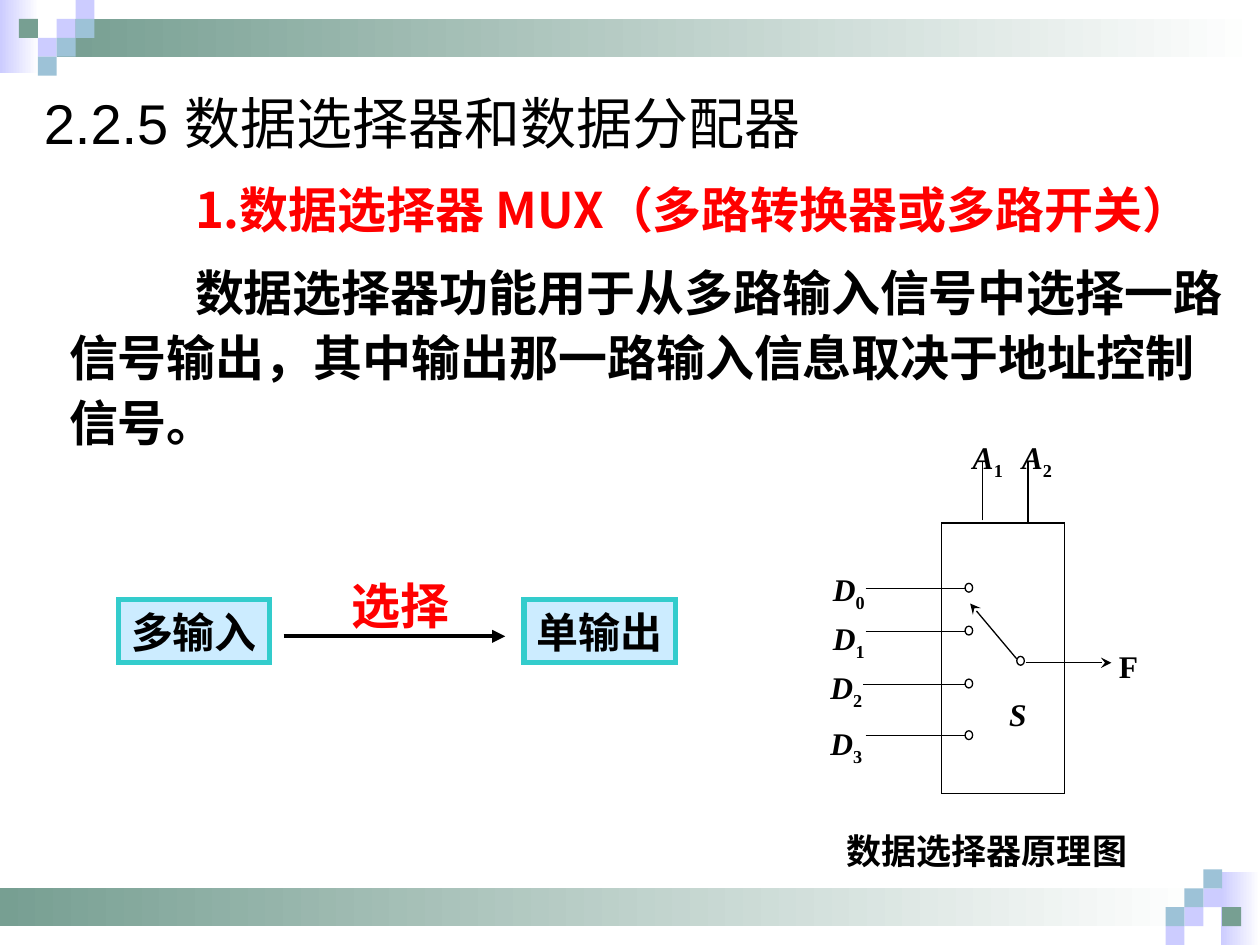
from dataclasses import dataclass

import lxml.etree
import pptx
import pptx.dml.color
import pptx.enum.shapes
import pptx.enum.text
import pptx.oxml.ns
import pptx.util

COLORS = {
    "lilac": "CCCCFF", "green": "779F92", "sky": "9DC2D7", "white": "FFFFFF",
    "black": "000000", "red": "FF0000", "pale": "CCECFF", "teal": "33CCCC",
}
CJK, LATIN, SERIF = "Noto Sans CJK SC", "Arial", "Times New Roman"
SHAPES = pptx.enum.shapes.MSO_SHAPE
ALIGN = pptx.enum.text.PP_ALIGN
ANCHOR = pptx.enum.text.MSO_ANCHOR

deck = pptx.Presentation()
deck.slide_width = pptx.util.Inches(10)
deck.slide_height = pptx.util.Inches(7.5)
slide = deck.slides.add_slide(deck.slide_layouts[6])

# The slide is a grid of 100 columns by 75 rows
COLUMNS, ROWS = 100, 75
TILE = 1.5  # side of a corner tile, in grid units


@dataclass(frozen=True)
class Box:
    col: float
    row: float
    cols: float
    rows: float

    def turned(self) -> "Box":
        """The same box after half a turn about the slide's centre."""
        return Box(COLUMNS - self.col - self.cols, ROWS - self.row - self.rows,
                   self.cols, self.rows)


@dataclass(frozen=True)
class Tile:
    col: int
    row: int
    color: str


@dataclass(frozen=True)
class Channel:
    name: str
    label_col: float
    label_row: float
    wire_col: float
    wire_row: float


def across(cols: float) -> int:
    return round(deck.slide_width * cols / COLUMNS)


def down(rows: float) -> int:
    return round(deck.slide_height * rows / ROWS)


def place(box: Box) -> tuple:
    return across(box.col), down(box.row), across(box.cols), down(box.rows)


def rgb(color: str) -> pptx.dml.color.RGBColor:
    return pptx.dml.color.RGBColor.from_string(COLORS[color])


def add_figure(box: Box, preset=SHAPES.RECTANGLE, fill=None, fade=False,
               line=None, width=0.75):
    figure = slide.shapes.add_shape(preset, *place(box))
    figure.shadow.inherit = False
    if fade:
        figure.fill.gradient()
        figure.fill.gradient_angle = 0
        for stop, color in zip(figure.fill.gradient_stops, (fill, "white")):
            stop.color.rgb = rgb(color)
    elif fill:
        figure.fill.solid()
        figure.fill.fore_color.rgb = rgb(fill)
    else:
        figure.fill.background()
    if line:
        figure.line.color.rgb = rgb(line)
        figure.line.width = pptx.util.Pt(width)
        lxml.etree.SubElement(figure.line._get_or_add_ln(),
                              pptx.oxml.ns.qn("a:miter"), lim="800000")
    else:
        figure.line.fill.background()
    return figure


def add_wire(start: tuple, end: tuple, width=0.75, arrow=None) -> None:
    wire = slide.shapes.add_connector(
        pptx.enum.shapes.MSO_CONNECTOR.STRAIGHT,
        across(start[0]), down(start[1]), across(end[0]), down(end[1]))
    wire.line.color.rgb = rgb("black")
    wire.line.width = pptx.util.Pt(width)
    if arrow:
        lxml.etree.SubElement(wire.line._get_or_add_ln(),
                              pptx.oxml.ns.qn("a:tailEnd"), type=arrow)
    lxml.etree.SubElement(wire._element.spPr, pptx.oxml.ns.qn("a:effectLst"))


def add_terminal(col: float, row: float) -> None:
    add_figure(Box(col, row, 0.6, 0.7), SHAPES.OVAL, "white", line="black")


def write(frame, text: str, size=18, font=CJK, color="black", bold=True,
          italic=False, align=ALIGN.LEFT, anchor=ANCHOR.TOP, wrap=True,
          spacing=1.0, before=0, left_inset=0.1, indent=None, more=False):
    """Write one paragraph; the part after an underscore is a subscript."""
    frame.word_wrap = wrap
    frame.vertical_anchor = anchor
    frame.margin_left = pptx.util.Inches(left_inset)
    paragraph = frame.add_paragraph() if more else frame.paragraphs[0]
    paragraph.alignment = align
    paragraph.line_spacing = spacing
    paragraph.space_before = pptx.util.Pt(before)
    if indent:
        properties = paragraph._p.get_or_add_pPr()
        properties.set("marL", str(across(indent[0])))
        properties.set("indent", str(across(indent[1])))
    for position, part in enumerate(text.split("_")):
        run = paragraph.add_run()
        run.text = part
        run.font.size = pptx.util.Pt(size)
        run.font.name = font
        run.font.bold = bold
        run.font.italic = italic and position == 0
        run.font.color.rgb = rgb(color)
        properties = run._r.get_or_add_rPr()
        lxml.etree.SubElement(properties, pptx.oxml.ns.qn("a:ea"), typeface=CJK)
        if position:
            properties.set("baseline", "-25000")


def add_text(box: Box, text: str, **form):
    frame = slide.shapes.add_textbox(*place(box)).text_frame
    write(frame, text, **form)
    return frame


def add_label(box: Box, text: str, **form) -> None:
    add_text(box, text, font=SERIF, spacing=1.4, left_inset=0.18, **form)


# Corner decoration, at the top and again mirrored at the bottom
TILES = (
    Tile(3, 1, "lilac"), Tile(4, 0, "lilac"), Tile(4, 1, "sky"),
    Tile(2, 2, "lilac"), Tile(1, 1, "green"), Tile(3, 2, "sky"),
    Tile(2, 3, "sky"),
)
corner = Box(0, 0, 3.1, 5.8)
band = Box(3 * TILE, TILE, COLUMNS - 3 * TILE, 2 * TILE)
for at_bottom in (False, True):
    for area, fill in ((corner, "lilac"), (band, "green")):
        add_figure(area.turned() if at_bottom else area, fill=fill, fade=True)
    for tile in TILES:
        area = Box(tile.col * TILE, tile.row * TILE, TILE, TILE)
        add_figure(area.turned() if at_bottom else area, fill=tile.color)

# Heading and explanation
body = add_text(Box(2.5, 6, 95.6, 30.6), "2.2.5 数据选择器和数据分配器",
                size=32, font=LATIN, bold=False, spacing=1.1)
for text, color in (
    ("1.数据选择器 MUX（多路转换器或多路开关）", "red"),
    ("数据选择器功能用于从多路输入信号中选择一路信号输出，"
     "其中输出那一路输入信息取决于地址控制信号。", "black"),
):
    write(body, text, size=28, color=color, spacing=1.1, before=10.5,
          indent=(2, 10), more=True)

# Many inputs to one output
CENTERED = dict(align=ALIGN.CENTER, anchor=ANCHOR.MIDDLE)
for col, text in ((9.4, "多输入"), (41.6, "单输出")):
    stage = add_figure(Box(col, 47.6, 12, 5), fill="pale", line="teal", width=3)
    write(stage.text_frame, text, size=24, wrap=False, **CENTERED)
add_wire((22.5, 50.5), (40.1, 50.5), width=2.5, arrow="triangle")
add_text(Box(25.3, 45.2, 13, 5.7), "选择", size=28, color="red", **CENTERED)

# Selector block with its address lines
add_figure(Box(74.7, 41.5, 9.8, 21.5), line="black")
for name, label_col, wire_col, wire_end in (("A_1", 75.4, 78, 41.3),
                                            ("A_2", 79.3, 81.6, 41.5)):
    add_label(Box(label_col, 32.9, 6.2, 5.8), name, italic=True)
    add_wire((wire_col, wire_end), (wire_col, 36.7))

# Data inputs
CHANNELS = (
    Channel("D_0", 64.3, 43.4, 68.7, 46.7),
    Channel("D_1", 64.3, 47.3, 68.7, 50.1),
    Channel("D_2", 64.1, 51.2, 68.5, 54.3),
    Channel("D_3", 64.1, 55.6, 68.7, 58.4),
)
for channel in CHANNELS:
    add_label(Box(channel.label_col, channel.label_row, 6.3, 6.3),
              channel.name, italic=True)
    add_wire((channel.wire_col, channel.wire_row), (77.2, channel.wire_row))
    add_terminal(76.6, channel.wire_row - 0.4)

# Switch arm and output
add_terminal(80.7, 52.1)
add_wire((80.7, 52.3), (77, 47.9), arrow="stealth")
add_wire((81.4, 52.6), (88.2, 52.6), arrow="stealth")
add_label(Box(78.3, 53.5, 5, 5.6), "S", italic=True)
add_label(Box(87, 49.7, 6.3, 6.4), "F")
add_label(Box(65.4, 64, 28, 6.3), "数据选择器原理图", size=20)

deck.save("out.pptx")
